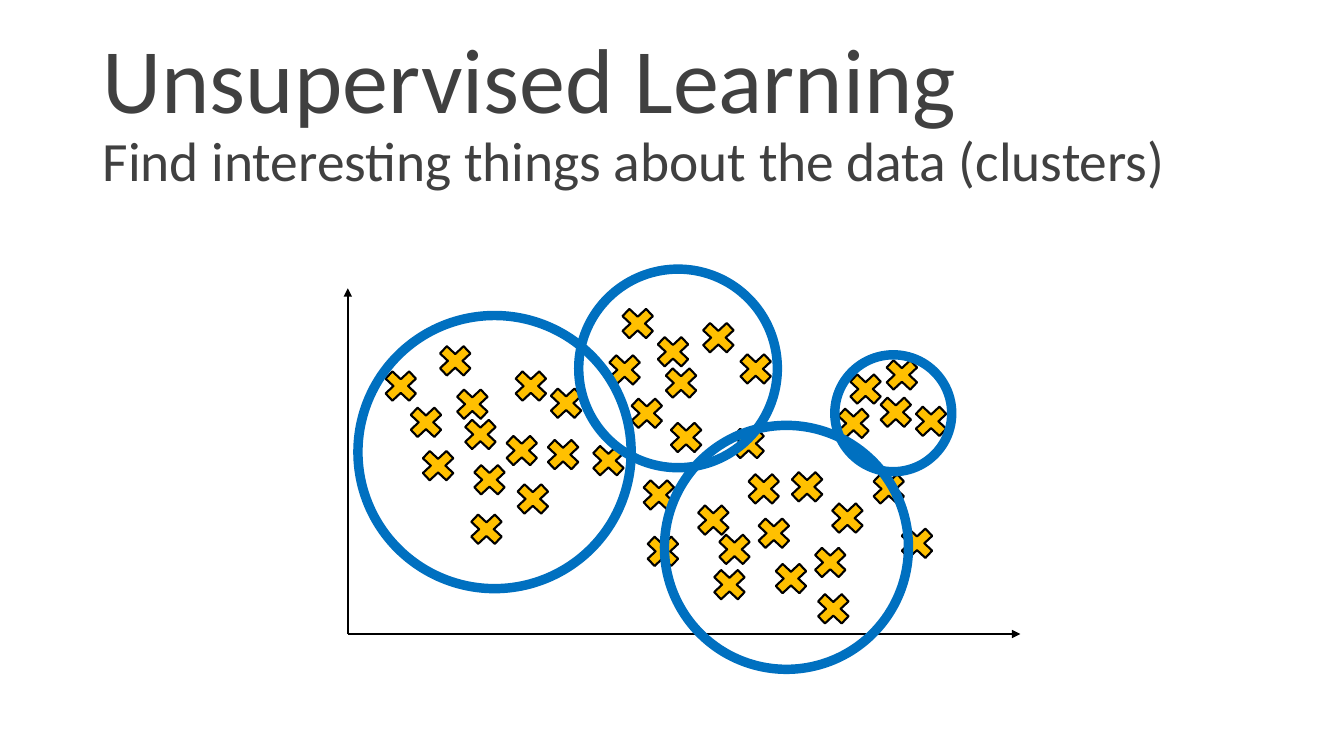
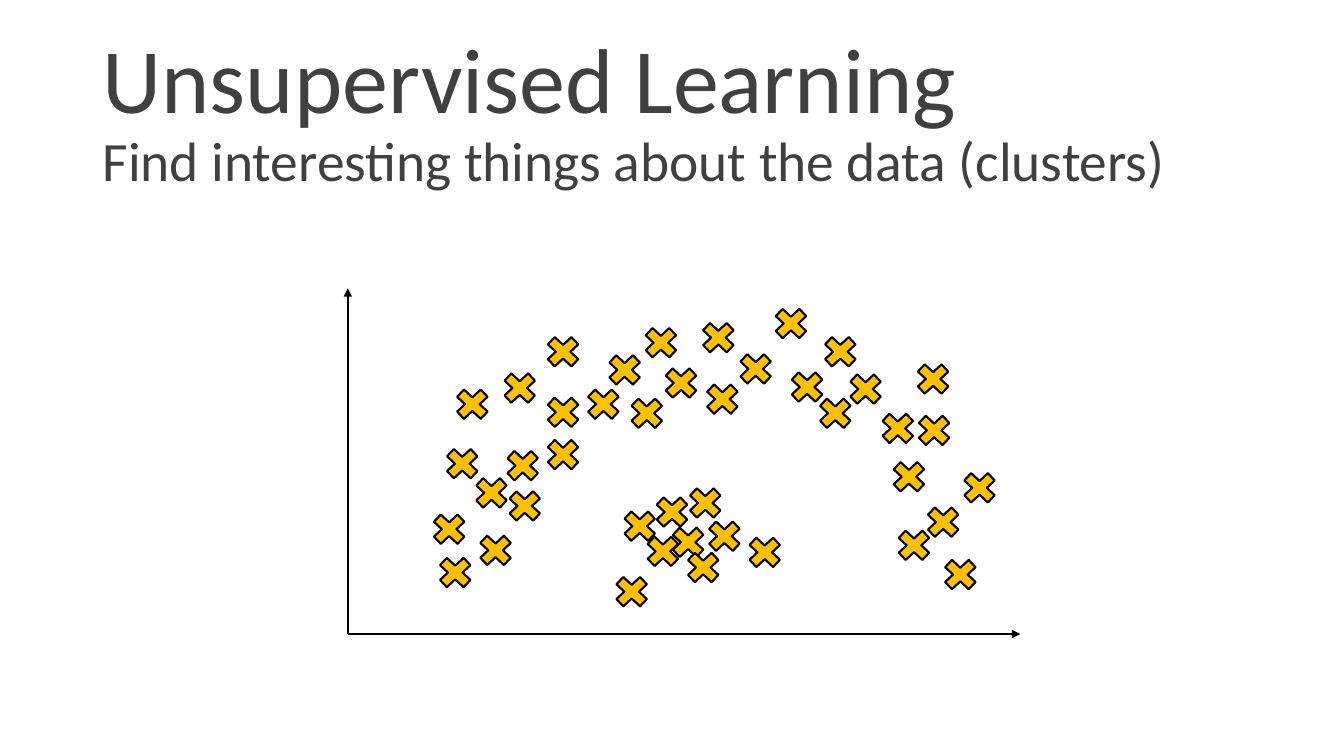
from pptx import Presentation
from pptx.dml.color import RGBColor
from pptx.enum.shapes import MSO_CONNECTOR, MSO_SHAPE
from pptx.enum.text import MSO_ANCHOR
from pptx.oxml.ns import qn
from pptx.util import Inches, Pt
from lxml import etree

COLORS = {"title": "404040", "axis": "000000", "mark": "FFC000", "cluster": "0070C0"}

# Title lines and sizes, shared by both slides
TITLE_LINES = [
    ("Unsupervised Learning", 65.7),
    ("Find interesting things about the data (clusters)", 39.6),
]
TITLE_FRAME = {
    "word_wrap": True,
    "vertical_anchor": MSO_ANCHOR.MIDDLE,
}

# Axes start at the origin and end in an arrowhead
ORIGIN = (3.45, 6.29)
AXIS_ENDS = [(10.12, 6.29), (3.45, 2.86)]

# Data points: left and top of each mark
MARK_SIZE = (0.45, 0.42)
ROUND_CLUSTERS = [
    (5.04, 3.62), (4.46, 3.8), (7.78, 4.62), (4.95, 4.26), (3.75, 3.62),
    (8.87, 5.18), (5.97, 3.46), (8.01, 5.37), (4.12, 4.41), (7.45, 5.08),
    (4.6, 5.04), (6.58, 4.13), (6.53, 3.59), (7.27, 3.45), (6.9, 3.14),
    (6.85, 4.95), (7.01, 5.59), (6.35, 5.26), (5.39, 3.79), (6.19, 3.89),
    (4.63, 4.55), (4, 3.98), (4.54, 4.1), (6.45, 3.28), (7.06, 5.24),
    (8.18, 4.93), (7.62, 5.53), (8.59, 4.64), (7.35, 4.64), (5.36, 4.3),
    (5.06, 4.74), (5.81, 4.36), (6.1, 3), (4.29, 3.37), (8.04, 5.83),
    (7.2, 4.19), (6.31, 4.7), (8.36, 3.65), (8.24, 3.99), (8.66, 3.88),
    (8.72, 3.51), (9.01, 3.97),
]
ARCH_AND_CORE = [
    (4.93, 3.64), (4.46, 3.8), (8.06, 3.89), (4.96, 4.41), (4.29, 5.47),
    (8.84, 5.2), (5.97, 3.46), (6.44, 4.87), (4.65, 4.68), (9.3, 5.49),
    (7.62, 3), (5.76, 3.8), (6.53, 3.59), (7.27, 3.45), (6.9, 3.14),
    (6.6, 5.17), (6.75, 5.42), (6.35, 5.26), (5.36, 3.88), (6.19, 3.89),
    (4.98, 4.81), (4.23, 5.04), (4.36, 4.39), (6.33, 3.19), (6.96, 5.11),
    (9.13, 4.97), (7.36, 5.27), (8.79, 4.52), (6.77, 4.78), (5.36, 4.3),
    (7.78, 3.63), (6.12, 5.01), (5.36, 3.28), (4.69, 5.25), (6.04, 5.66),
    (6.94, 3.75), (8.11, 3.28), (8.36, 3.65), (8.68, 4.04), (9.04, 4.06),
    (9.03, 3.55), (9.49, 4.63),
]

# Cluster rings: left, top, diameter
RINGS = [(3.55, 3.13, 2.71), (8.28, 3.52, 1.16), (5.74, 2.67, 1.97), (6.59, 4.22, 2.42)]

# Each slide: its points and the rings around them
SLIDES = [(ROUND_CLUSTERS, RINGS), (ARCH_AND_CORE, [])]


def set_line(line, color, width):
    line.color.rgb = RGBColor.from_string(COLORS[color])
    line.width = Pt(width)


def add_figure(slide, preset, left, top, width, height):
    figure = slide.shapes.add_shape(
        preset, Inches(left), Inches(top), Inches(width), Inches(height))
    figure.shadow.inherit = False
    return figure


prs = Presentation()
prs.slide_width, prs.slide_height = Inches(13.33), Inches(7.5)

for points, rings in SLIDES:
    slide = prs.slides.add_slide(prs.slide_layouts[6])

    # Title: two lines in one paragraph
    title = slide.shapes.add_textbox(Inches(0.92), Inches(0.4), Inches(11.5), Inches(1.45))
    for attribute, value in TITLE_FRAME.items():
        setattr(title.text_frame, attribute, value)
    heading = title.text_frame.paragraphs[0]
    heading.line_spacing = 0.9
    for number, (words, size) in enumerate(TITLE_LINES):
        if number:
            heading.add_line_break()
        run = heading.add_run()
        run.text = words
        for attribute, value in {"name": "Calibri", "size": Pt(size)}.items():
            setattr(run.font, attribute, value)
        run.font.color.rgb = RGBColor.from_string(COLORS["title"])

    # Axes
    for end in AXIS_ENDS:
        axis = slide.shapes.add_connector(
            MSO_CONNECTOR.STRAIGHT, *[Inches(length) for length in ORIGIN + end])
        set_line(axis.line, "axis", 1.5)
        arrowhead = etree.SubElement(axis.line._get_or_add_ln(), qn("a:tailEnd"))
        arrowhead.set("type", "triangle")
        etree.SubElement(axis._element.spPr, qn("a:effectLst"))

    # Data points
    for left, top in points:
        mark = add_figure(slide, MSO_SHAPE.MATH_MULTIPLY, left, top, *MARK_SIZE)
        mark.fill.solid()
        mark.fill.fore_color.rgb = RGBColor.from_string(COLORS["mark"])
        set_line(mark.line, "axis", 1.5)

    # Rings around the clusters
    for left, top, diameter in rings:
        ring = add_figure(slide, MSO_SHAPE.OVAL, left, top, diameter, diameter)
        ring.fill.background()
        set_line(ring.line, "cluster", 6.75)

prs.save("out.pptx")
